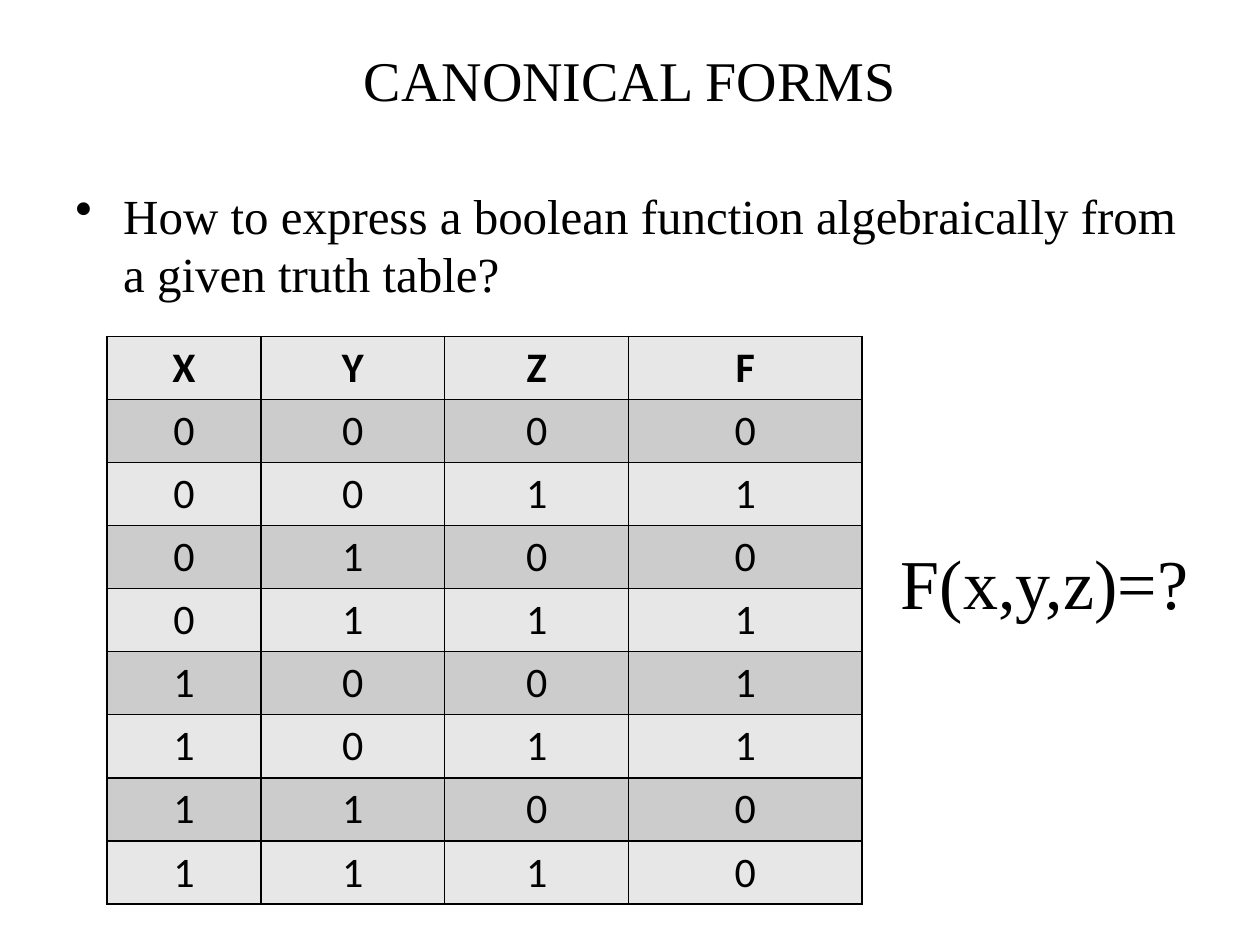
import pptx
import pptx.util
import pptx.dml.color
import pptx.enum.text
import pptx.oxml.ns
from lxml import etree

Inches = pptx.util.Inches
Pt = pptx.util.Pt
ALIGN = pptx.enum.text.PP_ALIGN
ANCHOR = pptx.enum.text.MSO_ANCHOR

TITLE = "CANONICAL FORMS"
QUESTION = "How to express a boolean function algebraically from a given truth table?"
FORMULA = "F(x,y,z)=?"
HEADER = ("X", "Y", "Z", "F")
OUTPUTS = (0, 1, 0, 1, 1, 1, 0, 0)
# The inputs count upwards in binary
TRUTH_TABLE = [HEADER] + [
    (number >> 2 & 1, number >> 1 & 1, number & 1, output)
    for number, output in enumerate(OUTPUTS)
]
COLUMN_WIDTHS = (1.22, 1.46, 1.46, 1.85)
ROW_HEIGHT = 0.5
BAND_FILLS = ("E7E7E7", "CCCCCC")


def color(value):
    return pptx.dml.color.RGBColor.from_string(value)


def write(frame, text, size, font="Times New Roman", bold=False,
          align=ALIGN.CENTER, bullet=None):
    para = frame.paragraphs[0]
    para.alignment = align
    if bullet:
        properties = para._p.get_or_add_pPr()
        properties.set("marL", str(Inches(0.38)))
        properties.set("indent", str(-Inches(0.38)))
        etree.SubElement(properties, pptx.oxml.ns.qn("a:buChar"), char=bullet)
    span = para.add_run()
    span.text = text
    span.font.name = font
    span.font.size = Pt(size)
    span.font.bold = bold
    span.font.color.rgb = color("000000")


def add_text(page, text, left, top, width, height, anchor=ANCHOR.MIDDLE,
             bottom=0.05, **style):
    box = page.shapes.add_textbox(*map(Inches, (left, top, width, height)))
    frame = box.text_frame
    frame.word_wrap = True
    frame.vertical_anchor = anchor
    frame.margin_bottom = Inches(bottom)
    write(frame, text, **style)


def add_borders(cell):
    properties = cell._tc.get_or_add_tcPr()
    for position, side in enumerate(("lnL", "lnR", "lnT", "lnB")):
        line = etree.Element(pptx.oxml.ns.qn(f"a:{side}"), w=str(Pt(1)))
        fill = etree.SubElement(line, pptx.oxml.ns.qn("a:solidFill"))
        etree.SubElement(fill, pptx.oxml.ns.qn("a:srgbClr"), val="000000")
        properties.insert(position, line)


def add_truth_table(page, left, top):
    table = page.shapes.add_table(
        len(TRUTH_TABLE), len(HEADER), Inches(left), Inches(top),
        Inches(sum(COLUMN_WIDTHS)), Inches(ROW_HEIGHT * len(TRUTH_TABLE))).table
    for column, width in zip(table.columns, COLUMN_WIDTHS):
        column.width = Inches(width)
    for row_number, values in enumerate(TRUTH_TABLE):
        table.rows[row_number].height = Inches(ROW_HEIGHT)
        for column_number, value in enumerate(values):
            cell = table.cell(row_number, column_number)
            cell.fill.solid()
            cell.fill.fore_color.rgb = color(BAND_FILLS[row_number % 2])
            add_borders(cell)
            write(cell.text_frame, str(value), 24, font="Calibri",
                  bold=row_number == 0)


def main():
    deck = pptx.Presentation()
    deck.slide_width, deck.slide_height = Inches(10), Inches(7.5)
    page = deck.slides.add_slide(deck.slide_layouts[6])

    # Title and question
    add_text(page, TITLE, 0.5, 0, 9, 1.25, size=32)
    add_text(page, QUESTION, 0.5, 1.42, 9, 4.95, anchor=ANCHOR.TOP, size=28,
             align=ALIGN.LEFT, bullet="•")

    # Truth table with the formula beside it, raised above the middle
    add_truth_table(page, 0.85, 2.67)
    add_text(page, FORMULA, 6.83, 2.67, 2.92, 4.5, bottom=0.66, size=40)

    deck.save("out.pptx")


if __name__ == "__main__":
    main()
